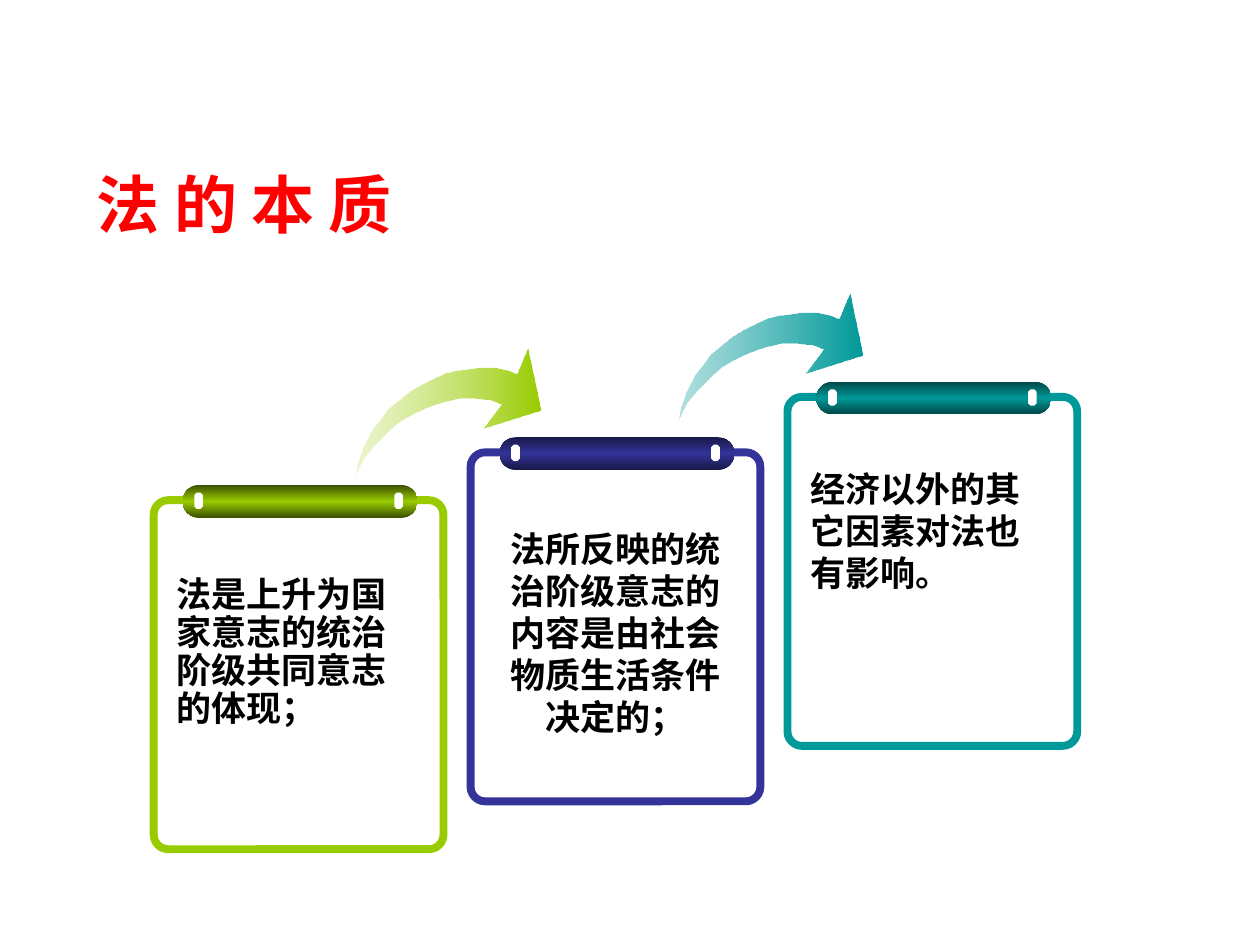
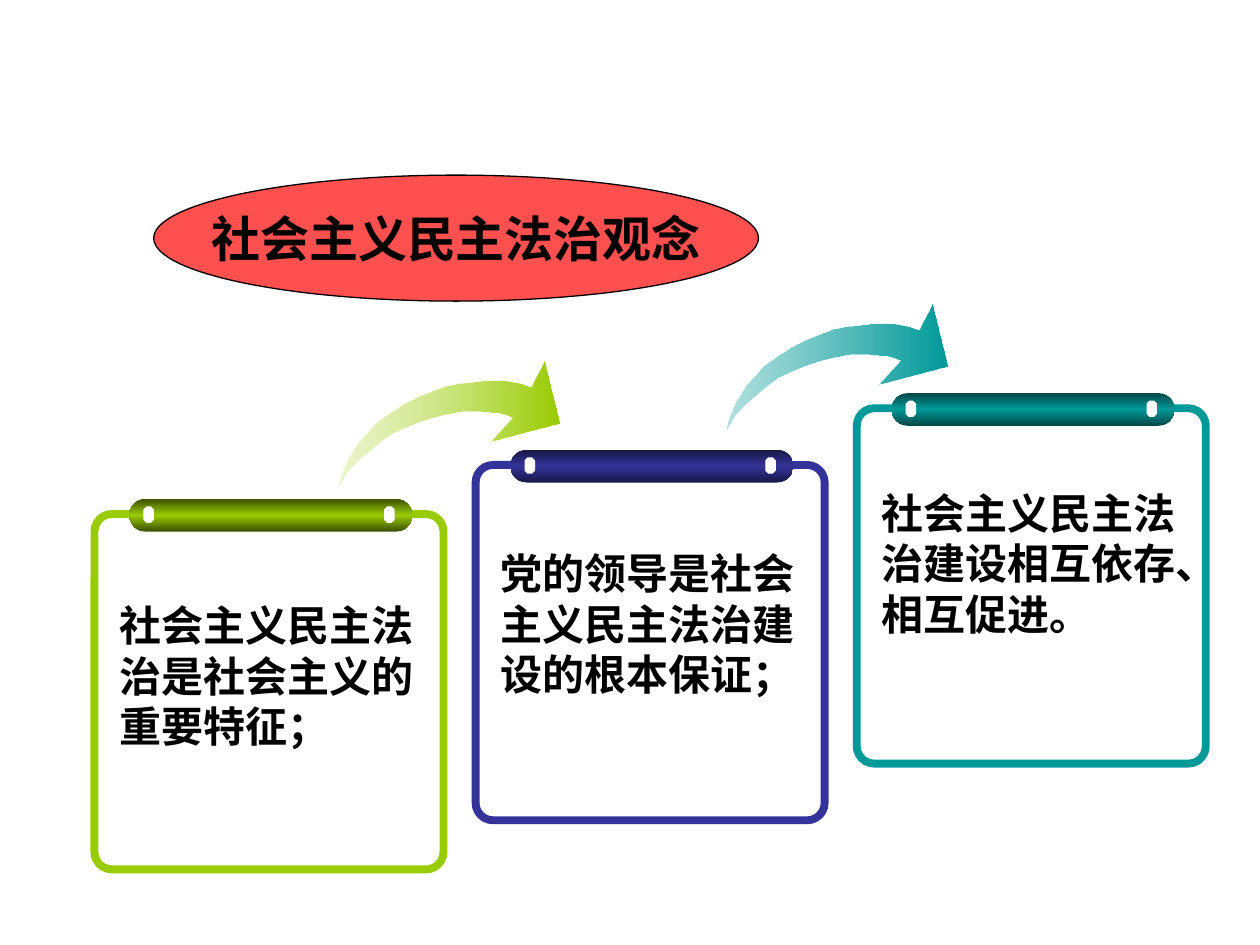
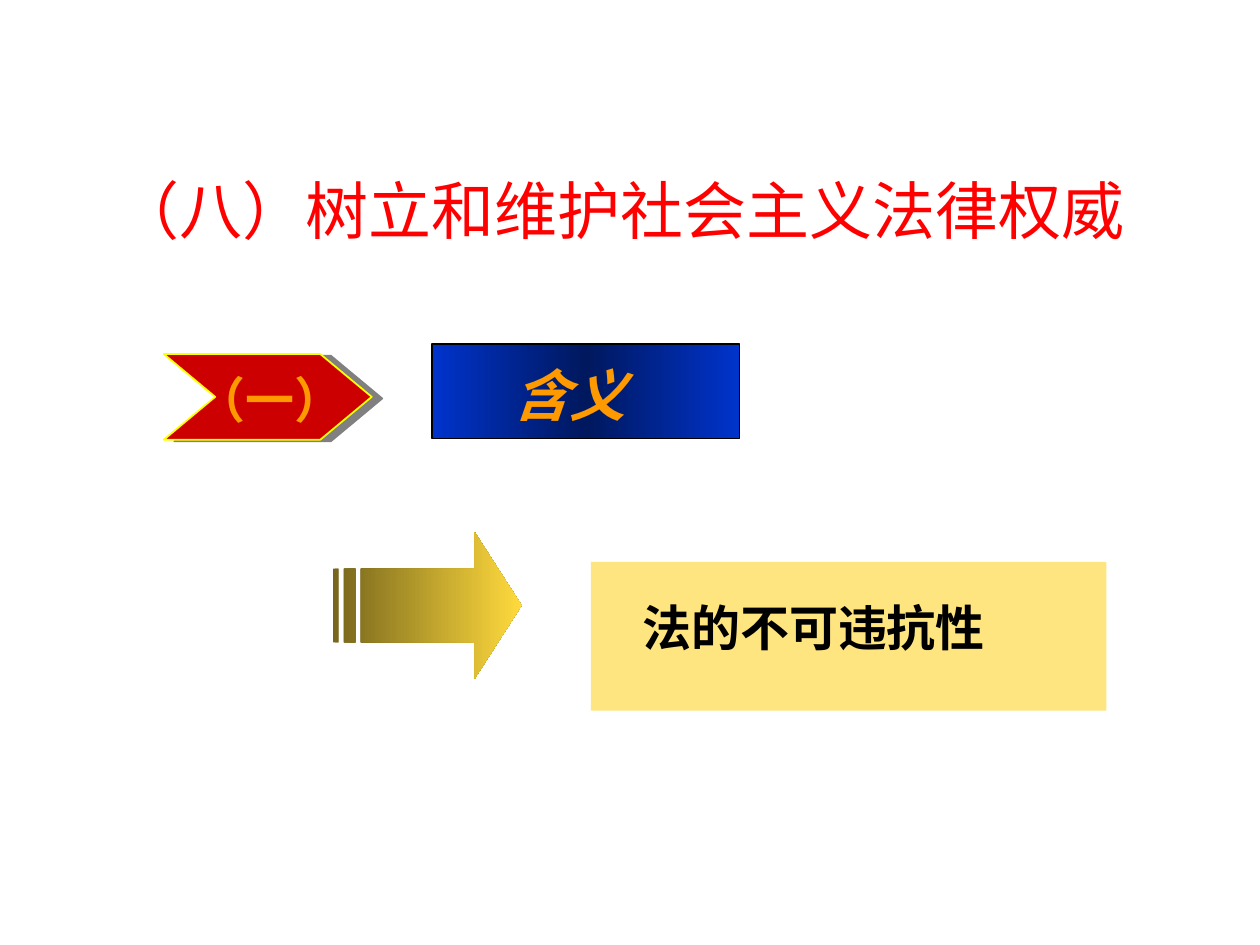
from dataclasses import dataclass
from typing import NamedTuple, Optional, Sequence

from lxml.etree import SubElement
from pptx import Presentation
from pptx.dml.color import RGBColor as RGB
from pptx.enum.shapes import MSO_SHAPE as SHAPE
from pptx.enum.text import MSO_ANCHOR as ANCHOR, PP_ALIGN as ALIGN
from pptx.oxml.ns import qn
from pptx.util import Inches, Pt

# Grid: 100 columns by 75 rows on a 10 x 7.5 inch page
prs = Presentation()
prs.slide_width, prs.slide_height = Inches(10), Inches(7.5)
COL, ROW = prs.slide_width / 100, prs.slide_height / 75


class Stop(NamedTuple):
    at: int
    color: str
    alpha: int = 100


class Box(NamedTuple):
    col: float
    row: float
    cols: float
    rows: float

    def emu(self) -> list[int]:
        return [round(v * u) for v, u in zip(self, (COL, ROW, COL, ROW))]


class Line(NamedTuple):
    color: str
    width: float


class Tone(NamedTuple):
    main: str
    dark: str
    light: str


@dataclass(frozen=True)
class Theme:
    sans: str = "Arial"
    serif: str = "Times New Roman"
    black: str = "000000"
    white: str = "FFFFFF"
    title: str = "FF0000"
    orange: str = "FF9900"
    red: str = "CC0000"
    yellow: str = "FFFF00"
    coral: str = "FF5050"
    gold: str = "FFCC00"
    gray: str = "808080"
    green: Tone = Tone("99CC00", "3B4F00", "C4E26C")
    indigo: Tone = Tone("333399", "181847", "333399")
    teal: Tone = Tone("009999", "004747", "17A2A2")
    blue: Tone = Tone("0033CC", "00185E", "0033CC")
    brass: Tone = Tone("FFDA3D", "76651C", "FFDA3D")
    title_size: int = 36
    label_size: int = 32
    head_size: int = 28
    frame_width: float = 4.5
    thin: float = 0.75


T = Theme()


# Drawing helpers
def add_color(parent, color: str, alpha: int = 100) -> None:
    clr = SubElement(parent, qn("a:srgbClr"), val=color)
    if alpha < 100:
        SubElement(clr, qn("a:alpha"), val=str(alpha * 1000))


def paint(sp, stops: Sequence[Stop] = (), line: Optional[Line] = None, angle: int = 0):
    """Fill with nothing, one colour or a gradient, and set the outline."""
    sp.shadow.inherit = False
    if not stops:
        sp.fill.background()
    elif len(stops) == 1:
        sp.fill.solid()
        sp.fill.fore_color.rgb = RGB.from_string(stops[0].color)
        solid = sp._element.spPr.find(qn("a:solidFill"))
        solid.clear()
        add_color(solid, stops[0].color, stops[0].alpha)
    else:
        sp.fill.gradient()
        sp.fill.gradient_angle = angle
        stop_list = sp._element.spPr.find(qn("a:gradFill")).find(qn("a:gsLst"))
        stop_list.clear()
        for at, color, alpha in stops:
            add_color(SubElement(stop_list, qn("a:gs"), pos=str(at * 1000)), color, alpha)
    if line:
        sp.line.color.rgb = RGB.from_string(line.color)
        sp.line.width = Pt(line.width)
    else:
        sp.line.fill.background()
    return sp


def add_preset(s, kind, box: Box, *stops: Stop, line: Optional[Line] = None,
               angle: int = 0, adj: Optional[float] = None):
    sp = s.shapes.add_shape(kind, *box.emu())
    if adj is not None:
        sp.adjustments[0] = adj
    return paint(sp, stops, line, angle)


def add_outline(s, contours, box: Box, *stops: Stop):
    """Draw closed contours whose points are percentages of the box."""
    x, y, w, h = box.emu()
    scaled = [[(x + w * px / 100, y + h * py / 100) for px, py in c] for c in contours]
    builder = s.shapes.build_freeform(*scaled[0][0], scale=1.0)
    for i, (start, *rest) in enumerate(scaled):
        if i:
            builder.move_to(*start)
        builder.add_line_segments(rest, close=True)
    return paint(builder.convert_to_shape(), stops)


def write(tf, text: str, *, size: float, font: str = T.sans, color: str = T.black,
          bold: bool = True, italic: bool = False, align=ALIGN.LEFT,
          anchor=ANCHOR.TOP, spacing: Optional[float] = None, wrap: bool = True) -> None:
    tf.word_wrap, tf.vertical_anchor = wrap, anchor
    p = tf.paragraphs[0]
    p.alignment = align
    if spacing:
        p.line_spacing = spacing
    r = p.add_run()
    r.text = text
    f = r.font
    f.name, f.size, f.bold, f.italic = font, Pt(size), bold, italic
    f.color.rgb = RGB.from_string(color)


def add_text(s, box: Box, text: str, **fmt) -> None:
    write(s.shapes.add_textbox(*box.emu()).text_frame, text, **fmt)


def add_title(s, box: Box, text: str, **fmt) -> None:
    add_text(s, box, text, size=T.title_size, color=T.title, anchor=ANCHOR.MIDDLE, **fmt)


def new_slide():
    return prs.slides.add_slide(prs.slide_layouts[6])


# Rising clipboards, linked by curved arrows
SWOOSH = [(0, 100), (2, 94), (5, 85), (11, 75), (15, 69), (19, 63), (24, 57), (30, 52),
          (37, 47), (44, 43), (50, 41), (56, 39), (65, 39), (73, 40), (79, 43),
          (69, 62), (100, 48), (93, 0), (87, 20),
          (82, 17), (75, 15), (66, 15), (55, 17), (49, 19), (43, 23), (37, 27), (30, 33),
          (24, 40), (18, 47), (14, 55), (10, 62), (5, 76), (2, 88), (1, 97)]


class Step(NamedTuple):
    tone: Tone
    text_drop: float
    arrow_tone: Optional[Tone] = None
    arrow_reach: float = 0


STEPS = (Step(T.green, 2.3), Step(T.indigo, 2.1, T.green, 0.4),
         Step(T.teal, 1.8, T.teal, 0.38))


@dataclass(frozen=True)
class Staircase:
    left: float
    pitch: float
    tops: tuple[float, float, float]
    cols: float
    rows: float
    size: int
    line_rows: float


class Note(NamedTuple):
    text: str
    align: ALIGN = ALIGN.LEFT
    spacing: Optional[float] = None


def add_clipboard(s, board: Box, step: Step, note: Note, size: int, line_rows: float) -> None:
    x, y, w, h = board
    tone = step.tone
    add_preset(s, SHAPE.ROUNDED_RECTANGLE, board, line=Line(tone.main, T.frame_width), adj=0.05)
    add_preset(s, SHAPE.ROUNDED_RECTANGLE, Box(x + 0.1 * w, y - 1.2, 0.81 * w, 2.6),
               Stop(0, tone.dark), Stop(50, tone.main), Stop(100, tone.dark),
               angle=90, adj=0.5)
    for share in (0.14, 0.83):
        add_preset(s, SHAPE.OCTAGON, Box(x + share * w, y - 0.6, 0.03 * w, 1.3),
                   Stop(0, T.white), adj=0.29)
    # The text starts one line below the clip
    top = y + step.text_drop + line_rows
    add_text(s, Box(x + 0.035 * w, top, 0.93 * w, 4 * line_rows), note.text,
             size=size, align=note.align, spacing=note.spacing)
    if step.arrow_tone:
        add_outline(s, [SWOOSH], Box(x - step.arrow_reach * w, y - 8.2, 0.64 * w, 10.2),
                    Stop(0, step.arrow_tone.light, 32), Stop(100, step.arrow_tone.main))


def add_staircase(s, stairs: Staircase, notes: Sequence[Note]) -> None:
    for i, (step, note, top) in enumerate(zip(STEPS, notes, stairs.tops)):
        board = Box(stairs.left + i * stairs.pitch, top, stairs.cols, stairs.rows)
        add_clipboard(s, board, step, note, stairs.size, stairs.line_rows)


# Slide 1: essence of law
def build_essence() -> None:
    s = new_slide()
    add_title(s, Box(6.7, 9.9, 63.8, 12.5), "法 的 本 质")
    add_staircase(s, Staircase(12.2, 25.15, (39.7, 35.9, 31.5), 23, 27.7, 20, 3.35), (
        Note("法是上升为国家意志的统治阶级共同意志的体现；", spacing=0.9),
        Note("法所反映的统治阶级意志的内容是由社会物质生活条件决定的；", ALIGN.CENTER),
        Note("经济以外的其它因素对法也有影响。")))


# Slide 2: democracy and rule of law
def build_rule_of_law() -> None:
    s = new_slide()
    add_staircase(s, Staircase(7.5, 30.25, (40.8, 36.9, 32.4), 27.7, 28.2, 24, 4), (
        Note("社会主义民主法治是社会主义的重要特征；"),
        Note("党的领导是社会主义民主法治建设的根本保证；"),
        Note("社会主义民主法治建设相互依存、相互促进。")))
    oval = add_preset(s, SHAPE.OVAL, Box(12.2, 13.9, 48, 10), Stop(0, T.coral),
                      line=Line(T.black, T.thin))
    write(oval.text_frame, "社会主义民主法治观念", size=T.head_size,
          align=ALIGN.CENTER, anchor=ANCHOR.MIDDLE, wrap=False)


# Slide 3: authority of law
STRIPED_ARROW = [
    [(75, 0), (75, 25), (15, 25), (15, 75), (75, 75), (75, 100), (100, 50)],
    [(6, 25), (6, 75), (12, 75), (12, 25)],
    [(0, 25), (0, 75), (3, 75), (3, 25)],
]


def cast_shadow(sp, color: str, distance: float, degrees: int) -> None:
    effects = sp._element.spPr.find(qn("a:effectLst"))
    shadow = SubElement(effects, qn("a:outerShdw"), dist=str(Pt(distance)),
                        dir=str(degrees * 60000), algn="ctr", rotWithShape="0")
    add_color(shadow, color)


def build_authority() -> None:
    s = new_slide()
    add_preset(s, SHAPE.RECTANGLE, Box(34.3, 27.3, 24.4, 7.5), Stop(0, T.blue.main),
               Stop(50, T.blue.dark), Stop(100, T.blue.main), line=Line(T.black, T.thin))
    add_text(s, Box(39.8, 28.1, 11.8, 6.4), "含义", size=T.label_size, font=T.serif,
             color=T.orange, italic=True, align=ALIGN.JUSTIFY)
    chevron = add_preset(s, SHAPE.CHEVRON, Box(13, 28.1, 16.5, 6.8), Stop(0, T.red),
                         line=Line(T.yellow, 1), adj=0.6)
    cast_shadow(chevron, T.gray, 6.1, 9)
    add_preset(s, SHAPE.RECTANGLE, Box(46.9, 44.6, 40.9, 11.8), Stop(0, T.gold, 50))
    add_text(s, Box(50, 46.9, 35.3, 5.7), "法的不可违抗性", size=T.head_size, font=T.serif)
    add_outline(s, STRIPED_ARROW, Box(26.4, 42.2, 15, 11.7),
                Stop(0, T.brass.dark), Stop(100, T.brass.main))
    add_title(s, Box(6.7, 12.3, 85.1, 8.7), "（八）树立和维护社会主义法律权威",
              bold=False, align=ALIGN.CENTER)
    add_text(s, Box(14.6, 28.8, 15, 5.7), "（一）", size=T.head_size, font=T.serif,
             color=T.orange, align=ALIGN.JUSTIFY)


def main() -> None:
    build_essence()
    build_rule_of_law()
    build_authority()
    prs.save("out.pptx")


if __name__ == "__main__":
    main()
